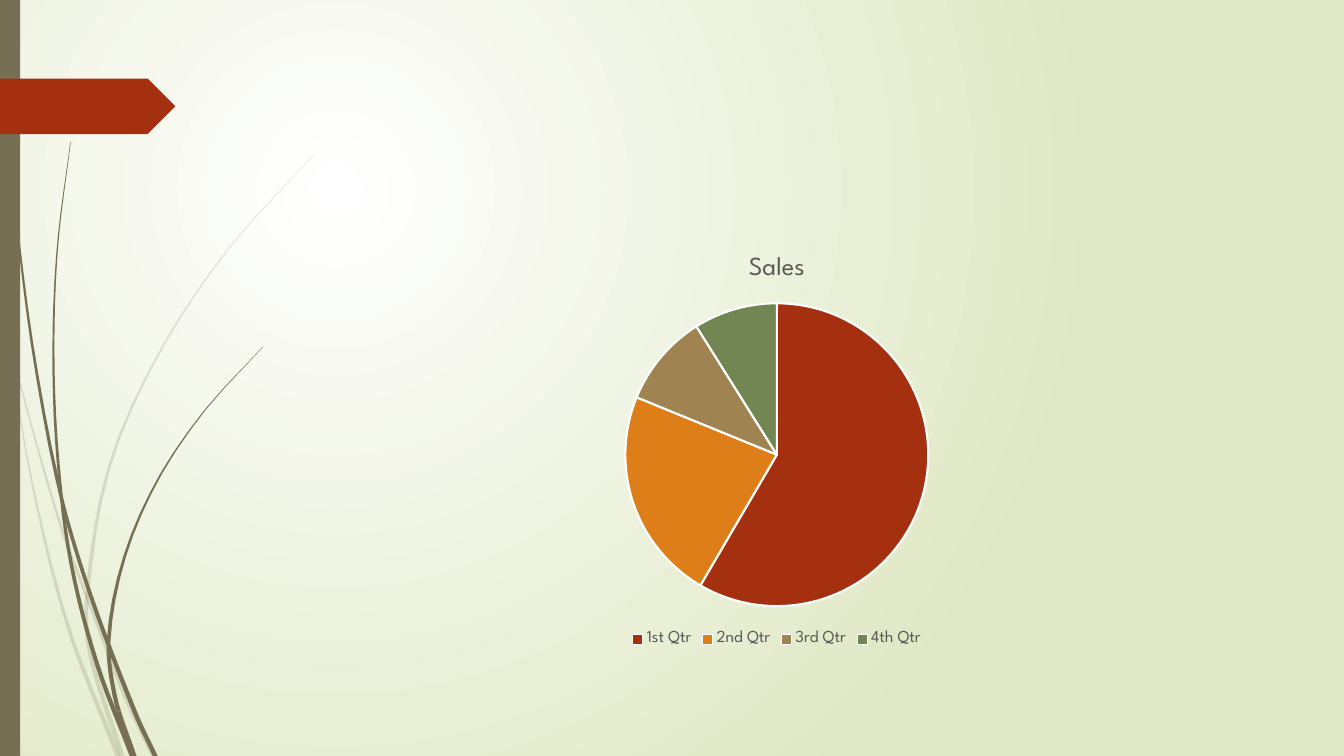
import dataclasses

import pptx
import pptx.chart.data
import pptx.dml.color
import pptx.enum.chart
import pptx.enum.shapes
import pptx.oxml
import pptx.oxml.ns
import pptx.util

INCH = 2.54  # positions below are in inches; lengths are given in cm
SAMPLES = 14
TIP_WIDTH, BASE_WIDTH = 0.005, 0.05


@dataclasses.dataclass(frozen=True)
class Theme:
    font: str = "League Spartan"
    glow: str = "FFFFFF"
    backdrop: str = "DFE8C4"
    grass: str = "766F54"
    tag: str = "A53010"
    text: str = "595959"
    slices: tuple = ("A53010", "DE7E18", "9F8351", "728653")
    title_size: float = 18.6
    legend_size: float = 12
    chart_size: float = 10


# Each blade: the points its centre runs through, then the heights where it is jointed.
PALE_GRASS = [
    ([(0.01, 2.9), (0.16, 3.65), (0.6, 5.21), (0.9, 6.02), (1.25, 6.93), (1.52, 7.5)],
     [3.5, 5.97]),
    ([(0.11, 3.5), (0.3, 4.7), (0.67, 6.2), (1.17, 7.5)], [7.14]),
    ([(3.12, 1.53), (2.28, 2.45), (1.59, 3.48), (1.09, 4.61), (0.87, 5.84), (0.89, 6.46),
      (1.21, 7.5)], [5.9, 6.05, 7]),
]
DARK_GRASS = [
    ([(0.03, 0), (0.07, 1.1), (0.18, 2.33), (0.34, 3.55), (0.6, 4.9), (0.9, 5.91),
      (1.34, 7.07), (1.54, 7.5)], [4.77, 6.43]),
    ([(0.7, 1.41), (0.57, 2.45), (0.53, 3.49), (0.57, 4.51), (0.7, 5.56), (0.96, 6.58),
      (1.31, 7.5)], [4.6, 4.95, 7.2]),
    ([(2.61, 3.44), (2.04, 4.06), (1.57, 4.75), (1.24, 5.51), (1.08, 6.32), (1.14, 6.91),
      (1.33, 7.5)], [6.36, 6.5, 7.05]),
]


def length(inches):
    return pptx.util.Cm(inches * INCH)


def rgb(value):
    return pptx.dml.color.RGBColor.from_string(value)


def centre_at(knots, y):
    """Smooth horizontal position of a blade at height y."""
    last = len(knots) - 1
    index = max(i for i in range(last) if knots[i][1] <= y)

    def slope(i):
        before, after = knots[max(i - 1, 0)], knots[min(i + 1, last)]
        return (after[0] - before[0]) / (after[1] - before[1])

    (x0, y0), (x1, y1) = knots[index], knots[index + 1]
    span = y1 - y0
    t = (y - y0) / span
    return (x0 + (x1 - x0) * t * t * (3 - 2 * t)
            + span * t * (1 - t) * ((1 - t) * slope(index) - t * slope(index + 1)))


def blade_piece(knots, top, bottom):
    """Outline of a blade between two heights, widening towards its base."""
    left_edge, right_edge = [], []
    tip, base = knots[0][1], knots[-1][1]
    for sample in range(SAMPLES + 1):
        y = top + (bottom - top) * sample / SAMPLES
        x = centre_at(knots, y)
        half = (TIP_WIDTH + (BASE_WIDTH - TIP_WIDTH) * (y - tip) / (base - tip)) / 2
        left_edge.append((length(x - half), length(y)))
        right_edge.append((length(x + half), length(y)))
    return left_edge + right_edge[::-1]


class SlideBuilder:
    def __init__(self, slide, theme):
        self.slide, self.theme = slide, theme

    def background(self):
        fill = self.slide.background.fill
        fill.gradient()
        for stop, color in zip(fill.gradient_stops, (self.theme.glow, self.theme.backdrop)):
            stop.color.rgb = rgb(color)
        linear = self.slide.element.find(".//" + pptx.oxml.ns.qn("a:lin"))
        radial = pptx.oxml.parse_xml(
            f'<a:path {pptx.oxml.ns.nsdecls("a")} path="circle">'
            '<a:fillToRect l="50000" t="50000" r="100000" b="100000"/></a:path>')
        linear.getparent().replace(linear, radial)

    def paint(self, shape, color, opacity=100):
        shape.shadow.inherit = False
        shape.fill.solid()
        shape.fill.fore_color.rgb = rgb(color)
        shape.line.fill.background()
        if opacity < 100:
            color_node = shape.element.spPr.find(".//" + pptx.oxml.ns.qn("a:srgbClr"))
            color_node.append(pptx.oxml.parse_xml(
                f'<a:alpha {pptx.oxml.ns.nsdecls("a")} val="{opacity * 1000}"/>'))

    def grass(self, blades, opacity=100):
        group = self.slide.shapes.add_group_shape()
        for knots, joints in blades:
            heights = [knots[0][1], *joints, knots[-1][1]]
            for top, bottom in zip(heights, heights[1:]):
                start, *rest = blade_piece(knots, top, bottom)
                builder = group.shapes.build_freeform(*start, scale=1.0)
                builder.add_line_segments(rest, close=True)
                self.paint(builder.convert_to_shape(), self.theme.grass, opacity)

    def block(self, kind, left, top, width, height, color):
        box = self.slide.shapes.add_shape(kind, *map(length, (left, top, width, height)))
        self.paint(box, color)

    def style(self, font, size, color):
        font.name, font.size, font.bold = self.theme.font, pptx.util.Pt(size), False
        font.color.rgb = rgb(color)

    def pie(self, left, top, width, height, title, values):
        data = pptx.chart.data.CategoryChartData()
        data.categories = list(values)
        data.add_series(title, list(values.values()))
        chart = self.slide.shapes.add_chart(pptx.enum.chart.XL_CHART_TYPE.PIE,
                                            *map(length, (left, top, width, height)), data).chart
        self.style(chart.font, self.theme.chart_size, "000000")
        chart.has_title = True
        para = chart.chart_title.text_frame.paragraphs[0]
        para.text = title
        self.style(para.font, self.theme.title_size, self.theme.text)
        chart.has_legend = True
        chart.legend.position = pptx.enum.chart.XL_LEGEND_POSITION.BOTTOM
        chart.legend.include_in_layout = False
        self.style(chart.legend.font, self.theme.legend_size, self.theme.text)
        chart.plots[0].vary_by_categories = True
        for index, color in enumerate(self.theme.slices):
            wedge = chart.plots[0].series[0].points[index].format
            wedge.fill.solid()
            wedge.fill.fore_color.rgb = rgb(color)
            wedge.line.color.rgb = rgb(self.theme.glow)
            wedge.line.width = pptx.util.Pt(1.5)


def main():
    deck = pptx.Presentation()
    deck.slide_width, deck.slide_height = length(13.33), length(7.5)
    theme = Theme()
    kinds = pptx.enum.shapes.MSO_SHAPE
    page = SlideBuilder(deck.slides.add_slide(deck.slide_layouts[6]), theme)
    # Backdrop and grass blades
    page.background()
    page.grass(PALE_GRASS, opacity=20)
    page.grass(DARK_GRASS)
    # Side bar and tag
    page.block(kinds.RECTANGLE, 0, 0, 0.2, 7.5, theme.grass)
    page.block(kinds.PENTAGON, 0, 0.78, 1.74, 0.55, theme.tag)
    # Sales by quarter
    page.pie(2.83, 2.33, 9.75, 4.13, "Sales",
             {"1st Qtr": 59, "2nd Qtr": 23, "3rd Qtr": 10, "4th Qtr": 9})
    deck.save("out.pptx")


if __name__ == "__main__":
    main()
